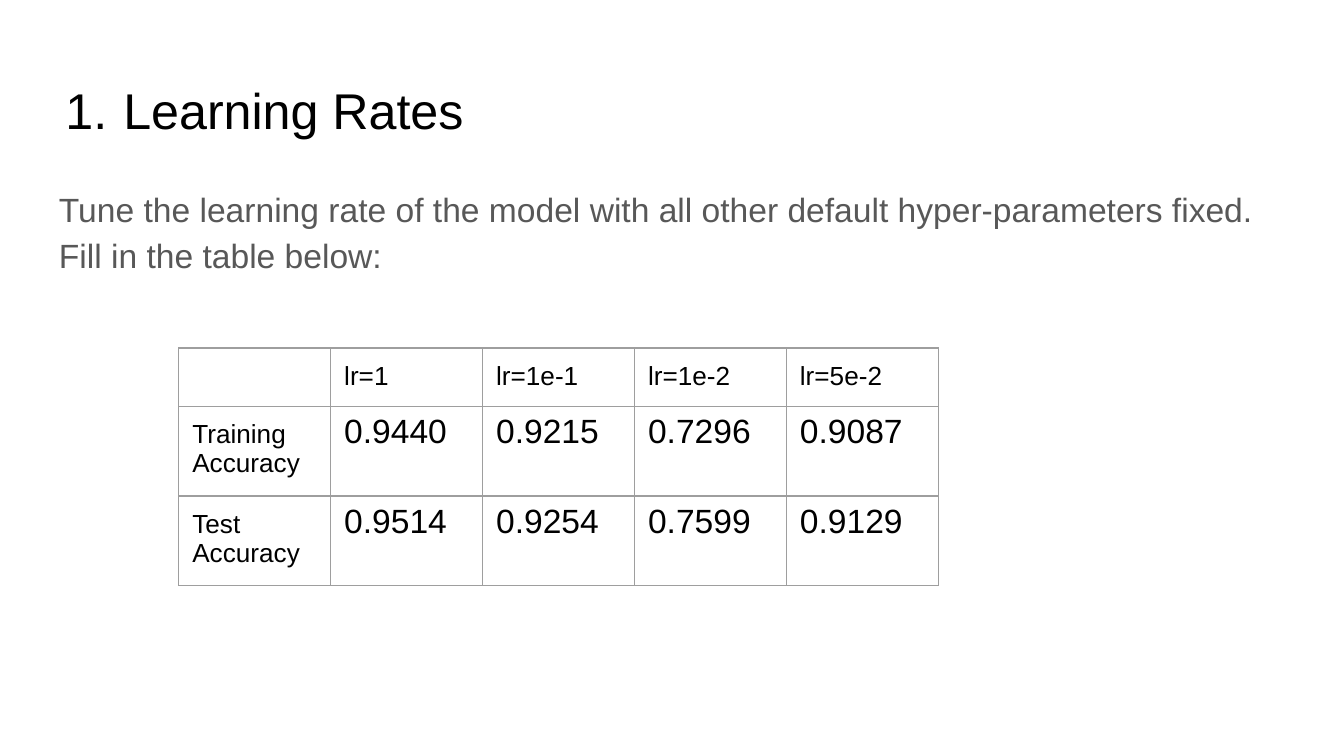
from lxml import etree
from pptx import Presentation
from pptx.dml.color import RGBColor
from pptx.enum.text import MSO_ANCHOR
from pptx.oxml.ns import qn
from pptx.util import Pt

TOP = MSO_ANCHOR.TOP
BLACK, GREY, RULE = "000000", "585858", "9E9E9E"
ACCURACIES = [
    ["", "lr=1", "lr=1e-1", "lr=1e-2", "lr=5e-2"],
    ["Training Accuracy", "0.9440", "0.9215", "0.7296", "0.9087"],
    ["Test Accuracy", "0.9514", "0.9254", "0.7599", "0.9129"],
]


def colour(value):
    return RGBColor.from_string(value)


def apply(target, values):
    for name, value in values.items():
        setattr(target, name, value)


def add_xml(parent, tag, **attributes):
    return etree.SubElement(parent, qn(tag), attributes)


class SlideStyle:
    font = "Arial"
    inset = 7.2

    def __init__(self, slide):
        self.slide = slide

    def margins(self, vertical):
        return {
            "margin_left": Pt(self.inset),
            "margin_right": Pt(self.inset),
            "margin_top": Pt(vertical),
            "margin_bottom": Pt(vertical),
            "vertical_anchor": TOP,
        }

    def add_words(self, paragraph, words, size, shade):
        run = paragraph.add_run()
        run.text = words
        apply(run.font, {"name": self.font, "size": Pt(size)})
        run.font.color.rgb = colour(shade)

    def text(self, box, words, size, shade, spacing=1.0):
        frame = self.slide.shapes.add_textbox(*map(Pt, box)).text_frame
        apply(frame, {"word_wrap": True, **self.margins(self.inset)})
        paragraph = frame.paragraphs[0]
        paragraph.line_spacing = spacing
        self.add_words(paragraph, words, size, shade)
        return paragraph

    def numbered(self, box, words, size, shade):
        properties = self.text(box, words, size, shade)._p.get_or_add_pPr()
        for name, length in {"marL": 34.5, "indent": -31}.items():
            properties.set(name, str(int(Pt(length))))
        bullet_shade = add_xml(properties, "a:buClr")
        add_xml(bullet_shade, "a:srgbClr", val=shade)
        add_xml(properties, "a:buFont", typeface=self.font)
        add_xml(properties, "a:buAutoNum", type="arabicPeriod")

    def border(self, cell):
        properties = cell._tc.get_or_add_tcPr()
        for side in ("a:lnL", "a:lnR", "a:lnT", "a:lnB"):
            line = add_xml(properties, side, w=str(int(Pt(0.75))))
            fill = add_xml(line, "a:solidFill")
            add_xml(fill, "a:srgbClr", val=RULE)

    def table(self, left, top, column_width, row_heights, rows):
        columns = len(rows[0])
        box = (left, top, column_width * columns, sum(row_heights))
        grid = self.slide.shapes.add_table(len(rows), columns, *map(Pt, box)).table
        apply(grid, {"first_row": False, "horz_banding": False})
        for column in grid.columns:
            column.width = Pt(column_width)
        for r, (height, row) in enumerate(zip(row_heights, rows)):
            grid.rows[r].height = Pt(height)
            for c, words in enumerate(row):
                cell = grid.cell(r, c)
                is_label = words and (r == 0 or c == 0)
                apply(cell, self.margins(self.inset if is_label else 3.6))
                self.border(cell)
                cell.fill.background()
                if words:
                    size = 14 if is_label else 18
                    self.add_words(cell.text_frame.paragraphs[0], words, size, BLACK)


def main():
    deck = Presentation()
    apply(deck, {"slide_width": Pt(720), "slide_height": Pt(405)})
    page = SlideStyle(deck.slides.add_slide(deck.slide_layouts[6]))
    page.numbered((24.5, 35.3, 671, 45.4), "Learning Rates", 26.9, BLACK)
    page.text(
        (24.5, 90.7, 671, 269.3),
        "Tune the learning rate of the model with all other default "
        "hyper-parameters fixed. Fill in the table below:",
        18, GREY, 1.15,
    )
    page.table(95.8, 186.5, 81.4, [30.2, 48, 46.1], ACCURACIES)
    deck.save("out.pptx")


if __name__ == "__main__":
    main()
